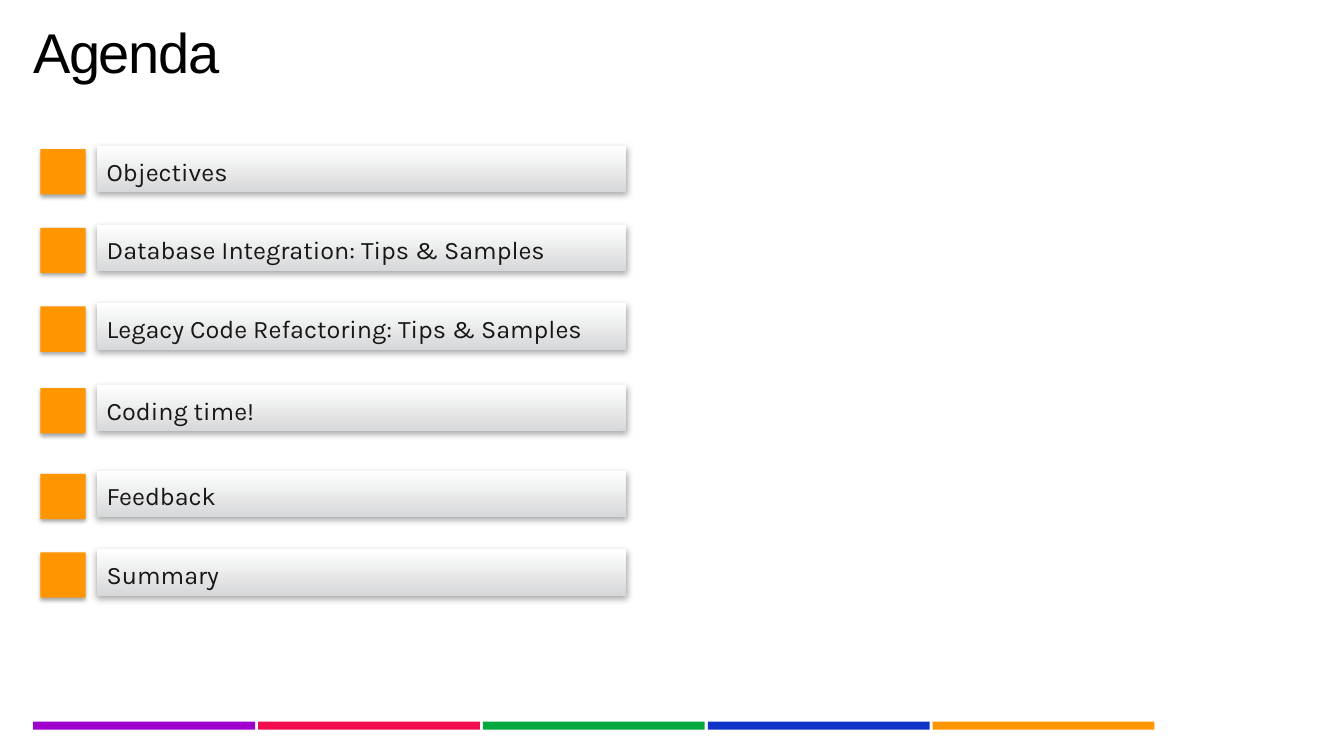
from lxml import etree
from pptx import Presentation
from pptx.dml.color import RGBColor
from pptx.enum import shapes, text
from pptx.oxml import ns
from pptx.util import Inches, Pt

BLACK = RGBColor(0x00, 0x00, 0x00)
INK = RGBColor(0x17, 0x17, 0x17)
WHITE = RGBColor(0xFF, 0xFF, 0xFF)
GREY = RGBColor(0xD7, 0xD8, 0xD9)
PURPLE = RGBColor(0x9F, 0x00, 0xCE)
RED = RGBColor(0xF2, 0x0D, 0x50)
GREEN = RGBColor(0x03, 0xA8, 0x3F)
BLUE = RGBColor(0x10, 0x34, 0xC8)
ORANGE = RGBColor(0xFF, 0x96, 0x00)

STRIPE_COLORS = [PURPLE, RED, GREEN, BLUE, ORANGE]
AGENDA = [
    (1.45, "Objectives"),
    (2.23, "Database Integration: Tips & Samples"),
    (3.01, "Legacy Code Refactoring: Tips & Samples"),
    (3.82, "Coding time!"),
    (4.67, "Feedback"),
    (5.45, "Summary"),
]


def add_rect(group, left, top, width, height, color=None):
    sp = group.shapes.add_shape(shapes.MSO_SHAPE.RECTANGLE, Inches(left),
                                Inches(top), Inches(width), Inches(height))
    sp.shadow.inherit = False
    sp.line.fill.background()
    if color is not None:
        sp.fill.solid()
        sp.fill.fore_color.rgb = color
    return sp


def add_shadow(sp, blur):
    """Give the shape a soft black shadow straight below it."""
    effects = sp._element.spPr.find(ns.qn("a:effectLst"))
    shadow = etree.SubElement(effects, ns.qn("a:outerShdw"), blurRad=str(Pt(blur)),
                              dist=str(Pt(1.8)), dir="5400000", rotWithShape="0")
    color = etree.SubElement(shadow, ns.qn("a:srgbClr"), val=str(BLACK))
    etree.SubElement(color, ns.qn("a:alpha"), val="35000")


def format_run(p, font, size, color):
    r = p.runs[0]
    r.font.name = font
    r.font.size = Pt(size)
    r.font.color.rgb = color
    return r


def set_title(s, title):
    sp = s.shapes.title
    sp.left, sp.top = Inches(0.33), Inches(0.25)
    sp.width, sp.height = Inches(12.68), Inches(0.61)
    tf = sp.text_frame
    tf.text = title
    tf.margin_left = tf.margin_top = tf.margin_right = tf.margin_bottom = 0
    tf.vertical_anchor = text.MSO_ANCHOR.TOP
    tf.auto_size = text.MSO_AUTO_SIZE.SHAPE_TO_FIT_TEXT
    p = tf.paragraphs[0]
    p.alignment = text.PP_ALIGN.LEFT
    p.line_spacing = 0.9
    r = format_run(p, "Arial", 40, BLACK)
    r.font._element.set("spc", "-100")


def add_stripes(s):
    group = s.shapes.add_group_shape()
    for i, color in enumerate(STRIPE_COLORS):
        add_rect(group, 0.33 + 2.23 * i, 7.16, 2.2, 0.08, color)


def add_agenda_item(s, top, label):
    group = s.shapes.add_group_shape()

    bar = add_rect(group, 0.96, top, 5.25, 0.46)
    bar.fill.gradient()
    bar.fill.gradient_angle = 90
    for stop, color in zip(bar.fill.gradient_stops, (GREY, WHITE)):
        stop.color.rgb = color
    add_shadow(bar, 5)

    box = group.shapes.add_textbox(Inches(0.96), Inches(top + 0.05),
                                   Inches(5.25), Inches(0.4))
    tf = box.text_frame
    tf.word_wrap = True
    tf.auto_size = text.MSO_AUTO_SIZE.SHAPE_TO_FIT_TEXT
    tf.text = label
    format_run(tf.paragraphs[0], "Karla", 18, INK)

    marker = add_rect(group, 0.4, top + 0.03, 0.45, 0.45, ORANGE)
    add_shadow(marker, 3.1)


def main():
    prs = Presentation()
    prs.slide_width, prs.slide_height = Inches(13.33), Inches(7.5)
    s = prs.slides.add_slide(prs.slide_layouts[5])
    set_title(s, "Agenda")
    add_stripes(s)
    for top, label in AGENDA:
        add_agenda_item(s, top, label)
    prs.save("out.pptx")


if __name__ == "__main__":
    main()
